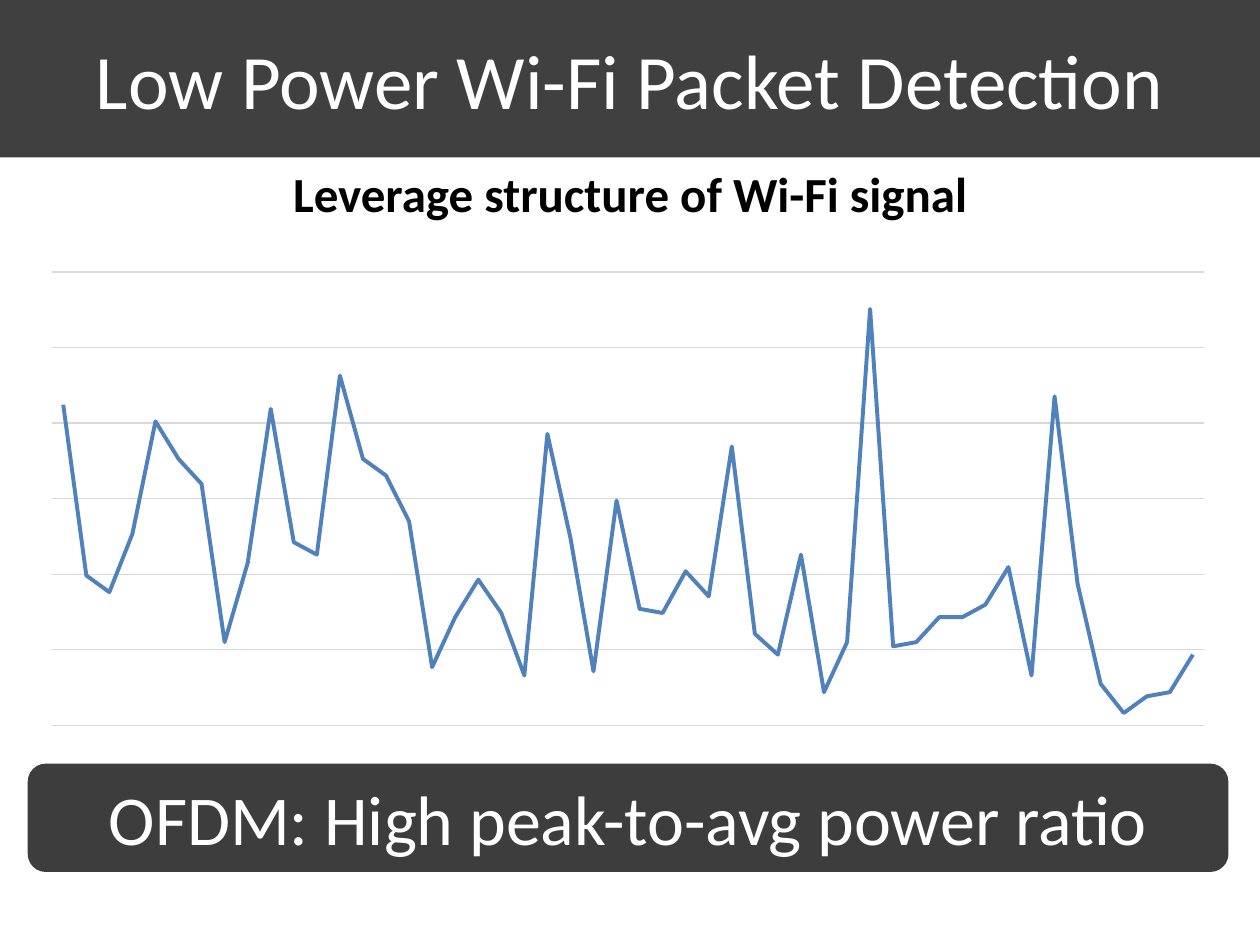
from lxml import etree
from pptx import Presentation
from pptx.chart.data import CategoryChartData
from pptx.dml.color import RGBColor
from pptx.enum.chart import XL_CHART_TYPE as CT
from pptx.enum.shapes import MSO_SHAPE as SHAPE
from pptx.enum.text import MSO_ANCHOR as ANCHOR, PP_ALIGN as ALIGN
from pptx.oxml.ns import qn
from pptx.util import Pt

FONT = "Calibri"
COLORS = {"band": "404040", "callout": "0D0D0D", "light": "FFFFFF",
          "dark": "000000", "grid": "D9D9D9", "signal": "4F81BD"}
SIGNAL = [77, 36, 32, 46, 73, 64, 58, 20, 39, 76,
          44, 41, 84, 64, 60, 49, 14, 26, 35, 27,
          12, 70, 45, 13, 54, 28, 27, 37, 31, 67,
          22, 17, 41, 8, 20, 100, 19, 20, 26, 26,
          29, 38, 12, 79, 34, 10, 3, 7, 8, 17]
GRID_STEP = 18.15


def rgb(name):
    return RGBColor.from_string(COLORS[name])


def fill_solid(sp, color):
    sp.fill.solid()
    sp.fill.fore_color.rgb = rgb(color)


def write(sp, text, size, color, anchor, bold=False):
    tf = sp.text_frame
    tf.word_wrap = True
    tf.vertical_anchor = anchor
    p = tf.paragraphs[0]
    p.alignment = ALIGN.CENTER
    r = p.add_run()
    r.text = text
    r.font.name, r.font.size, r.font.bold = FONT, Pt(size), bold
    r.font.color.rgb = rgb(color)


def add_title(s, box, text):
    sp = s.shapes.title
    sp.left, sp.top, sp.width, sp.height = box
    fill_solid(sp, "band")
    write(sp, text, 44, "light", ANCHOR.MIDDLE)


def add_subtitle(s, box, text):
    sp = s.shapes.add_textbox(*box)
    write(sp, text, 28, "dark", ANCHOR.TOP, bold=True)


def add_callout(s, box, text):
    sp = s.shapes.add_shape(SHAPE.ROUNDED_RECTANGLE, *box)
    sp.shadow.inherit = False
    fill_solid(sp, "callout")
    color = sp.fill._xPr.find(qn("a:solidFill"))[0]
    etree.SubElement(color, qn("a:alpha"), val="80000")
    sp.line.fill.background()
    write(sp, text, 40, "light", ANCHOR.MIDDLE)


def add_signal_chart(s, box):
    data = CategoryChartData()
    data.categories = [str(i) for i in range(1, len(SIGNAL) + 1)]
    data.add_series("Series 1", SIGNAL)
    chart = s.shapes.add_chart(CT.LINE, *box, data).chart
    chart.has_legend = chart.has_title = False
    chart.font.name, chart.font.size = FONT, Pt(10)
    chart.font.color.rgb = rgb("dark")

    # Hidden axes, with the horizontal grid kept
    chart.category_axis.visible = False
    axis = chart.value_axis
    axis.visible = False
    axis.minimum_scale, axis.maximum_scale = 0, 6 * GRID_STEP
    axis.major_unit = GRID_STEP
    axis.has_major_gridlines = True
    grid = axis.major_gridlines.format.line
    grid.color.rgb, grid.width = rgb("grid"), Pt(0.75)

    # Signal line
    plot = chart.plots[0]
    plot.vary_by_categories = False
    series = plot.series[0]
    series.smooth = False
    line = series.format.line
    line.color.rgb, line.width = rgb("signal"), Pt(2.25)


def main():
    prs = Presentation()
    prs.slide_width, prs.slide_height = Pt(720), Pt(540)
    s = prs.slides.add_slide(prs.slide_layouts[5])
    left, width = Pt(15.84), Pt(686.16)
    add_callout(s, (left, Pt(436.4), width, Pt(61.9)),
                "OFDM: High peak-to-avg power ratio")
    add_title(s, (0, 0, prs.slide_width, Pt(90)),
              "Low Power Wi-Fi Packet Detection")
    add_subtitle(s, (Pt(9), Pt(90), Pt(702), Pt(41)),
                 "Leverage structure of Wi-Fi signal")
    add_signal_chart(s, (left, Pt(150), width, Pt(270)))
    prs.save("out.pptx")


if __name__ == "__main__":
    main()
